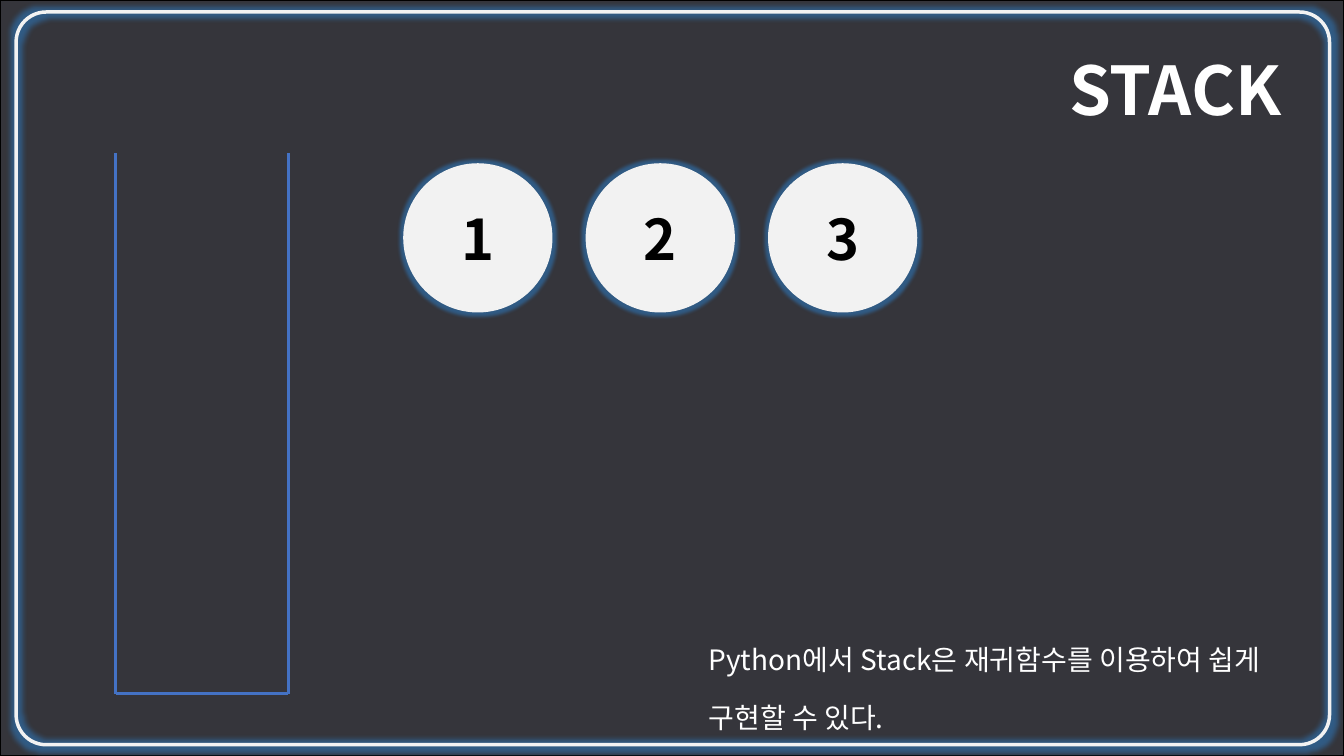
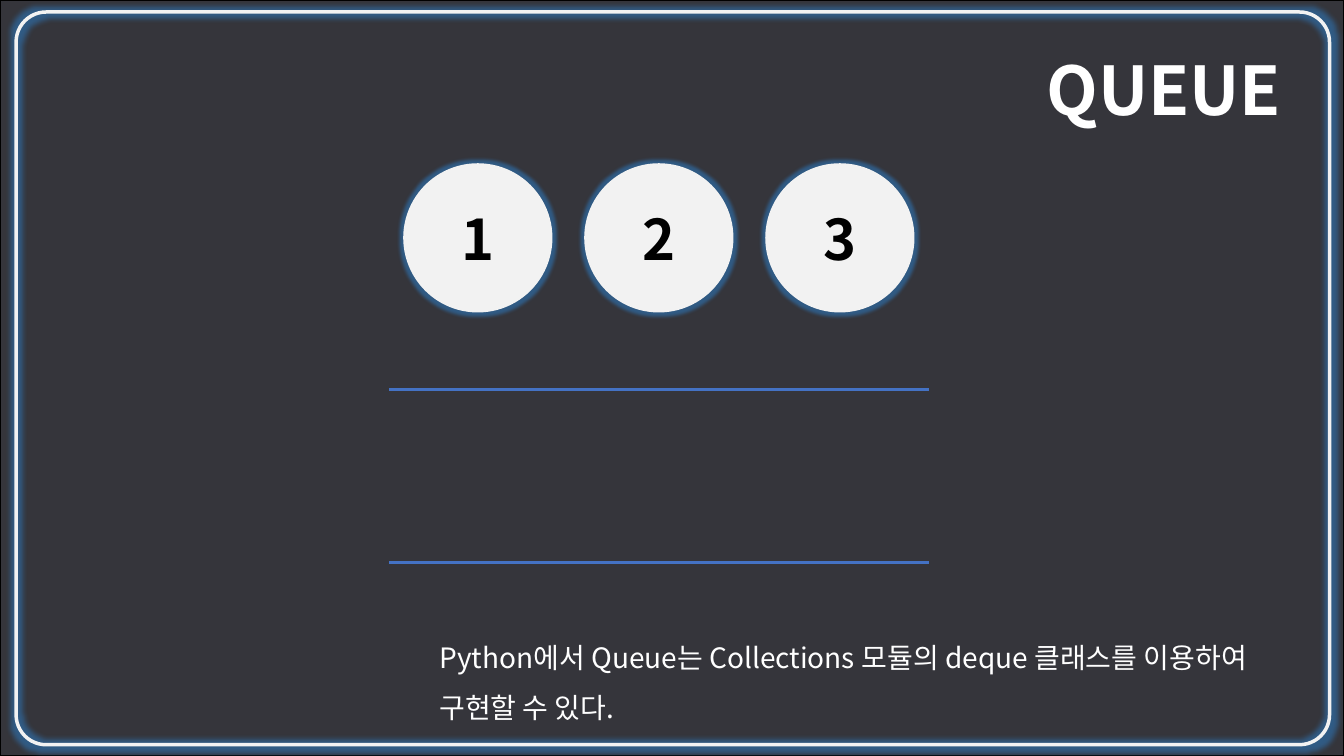
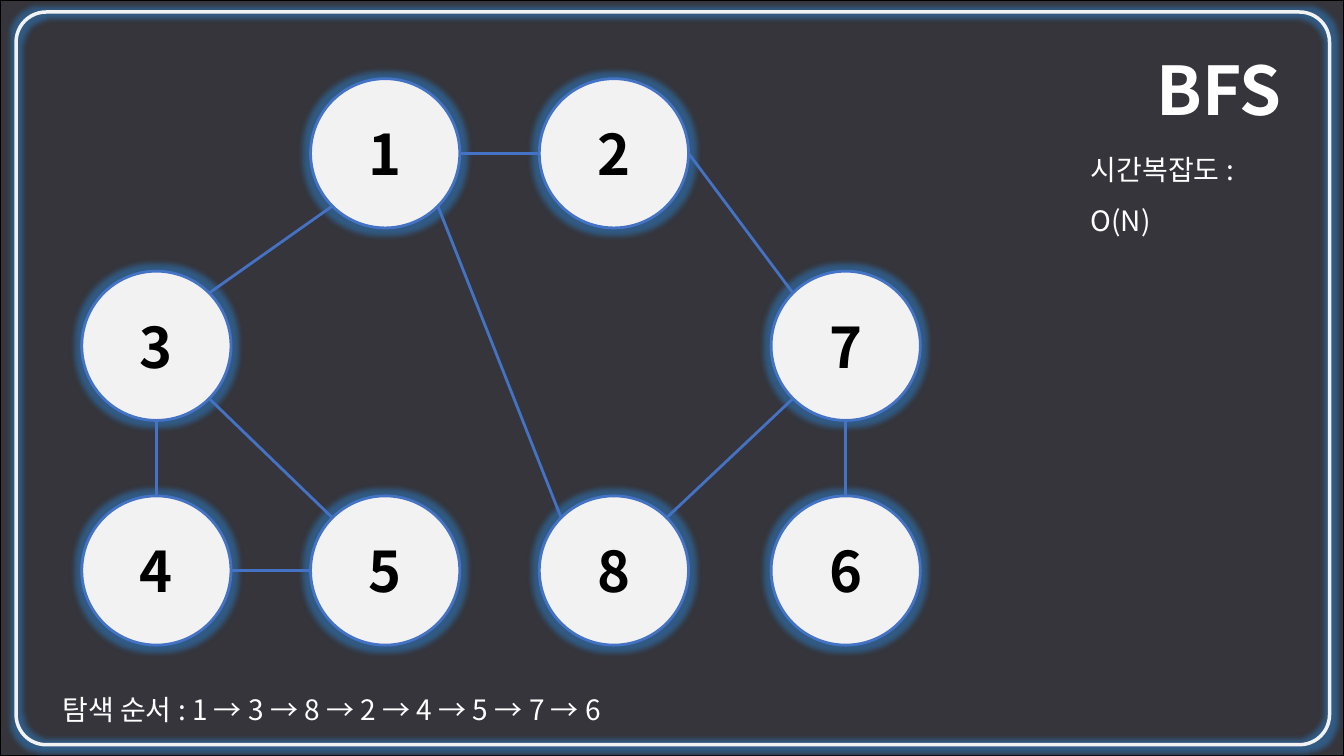
from math import cos, radians, sin

from lxml import etree
from pptx import Presentation
from pptx.dml.color import RGBColor
from pptx.enum import shapes, text
from pptx.oxml import ns
from pptx.util import Pt

FONT = "Noto Sans CJK KR"
WHITE = RGBColor(0xFF, 0xFF, 0xFF)
BLACK = RGBColor(0, 0, 0)
DARK = RGBColor(0x35, 0x35, 0x3B)
PALE = RGBColor(0xF2, 0xF2, 0xF2)
BLUE = RGBColor(0x44, 0x72, 0xC4)
GLOW = RGBColor(0x2E, 0x75, 0xB6)

SLIDE = (960, 540)
FRAME = (11.5, 8.6, 938.2, 523.4)
TITLE = (20.2, 37.4, 902.2, 72)
BALL = 106.6
BALL_LEFT, BALL_TOP = 288, 116.6

# Directions on a circle, in degrees clockwise from the right
RIGHT, LOWER_RIGHT, BOTTOM, LOWER_LEFT = 0, 45, 90, 135
LEFT, UPPER_LEFT, TOP, UPPER_RIGHT = 180, 225, 270, 315

COLUMNS = (58.4, 221.8, 385.2, 550.8)
ROWS = (56.2, 193.7, 354.2)
NODES = {  # label: (column, row)
    "3": (0, 1), "4": (0, 2), "1": (1, 0), "5": (1, 2),
    "2": (2, 0), "8": (2, 2), "7": (3, 1), "6": (3, 2),
}
EDGES = (
    ("3", UPPER_RIGHT, "1", LOWER_LEFT),
    ("4", TOP, "3", BOTTOM),
    ("5", UPPER_LEFT, "3", LOWER_RIGHT),
    ("5", LEFT, "4", RIGHT),
    ("8", UPPER_LEFT, "1", LOWER_RIGHT),
    ("2", LEFT, "1", RIGHT),
    ("7", UPPER_LEFT, "2", RIGHT),
    ("7", LOWER_LEFT, "8", UPPER_RIGHT),
    ("7", BOTTOM, "6", TOP),
)


def points(values):
    """Turn plain numbers into lengths in points."""
    return [Pt(value) for value in values]


def style(para, size, color, bold=False):
    """Format every run of a paragraph."""
    for span in para.runs:
        span.font.size = Pt(size)
        span.font.bold = bold
        span.font.color.rgb = color
        span.font.name = FONT
        east_asian = etree.SubElement(span.font._element, ns.qn("a:ea"))
        east_asian.set("typeface", FONT)


def add_glow(shape, radius):
    """Replace the shape's shadow by a soft blue glow."""
    shape.shadow.inherit = False
    effects = shape.element.spPr.find(ns.qn("a:effectLst"))
    glow = etree.SubElement(effects, ns.qn("a:glow"), rad=str(Pt(radius)))
    color = etree.SubElement(glow, ns.qn("a:srgbClr"), val=str(GLOW))
    etree.SubElement(color, ns.qn("a:alpha"), val="60000")


def add_backdrop(layout, page):
    """Draw the dark ground and glowing frame, and hand them to the layout."""
    ground = page.shapes.add_shape(
        shapes.MSO_SHAPE.RECTANGLE, *points((0, 0, *SLIDE)))
    ground.shadow.inherit = False
    ground.fill.solid()
    ground.fill.fore_color.rgb = DARK
    ground.line.color.rgb = BLACK
    ground.line.width = Pt(1)

    frame = page.shapes.add_shape(
        shapes.MSO_SHAPE.ROUNDED_RECTANGLE, *points(FRAME))
    frame.adjustments[0] = 0.041
    frame.fill.background()
    frame.line.color.rgb = PALE
    frame.line.width = Pt(2.5)
    add_glow(frame, 8)

    for index, shape in enumerate((ground, frame), start=2):
        layout.shapes.element.insert(index, shape.element)


def add_title(page, words):
    """Fill the title placeholder at the top right."""
    title = page.shapes.title
    title.left, title.top, title.width, title.height = points(TITLE)
    frame = title.text_frame
    frame.text = words
    frame.auto_size = text.MSO_AUTO_SIZE.NONE
    frame.vertical_anchor = text.MSO_ANCHOR.TOP
    para = frame.paragraphs[0]
    para.alignment = text.PP_ALIGN.RIGHT
    para.line_spacing = 0.9
    para.space_before = Pt(10)
    style(para, 48, WHITE, bold=True)


def add_caption(page, box, words):
    """Write indented caption paragraphs, one per line of words."""
    frame = page.shapes.add_textbox(*points(box)).text_frame
    frame.word_wrap = True
    frame.text = words
    for para in frame.paragraphs:
        para.line_spacing = 1.5
        para.space_before = Pt(5)
        para._p.get_or_add_pPr().set("marL", str(Pt(72)))
        style(para, 20, WHITE)


def add_ball(page, left, top, label, outlined=False):
    """Draw one numbered circle with its glow."""
    ball = page.shapes.add_shape(
        shapes.MSO_SHAPE.OVAL, *points((left, top, BALL, BALL)))
    ball.fill.solid()
    ball.fill.fore_color.rgb = PALE
    if outlined:
        ball.line.color.rgb = BLUE
        ball.line.width = Pt(2)
    else:
        ball.line.fill.background()
    add_glow(ball, 8 if outlined else 5)
    frame = ball.text_frame
    frame.margin_left = frame.margin_right = 0
    frame.margin_top = frame.margin_bottom = 0
    frame.vertical_anchor = text.MSO_ANCHOR.MIDDLE
    frame.text = label
    para = frame.paragraphs[0]
    para.alignment = text.PP_ALIGN.CENTER
    style(para, 40, BLACK, bold=True)


def add_ball_row(page, pitch):
    """Place the balls 1 to 3 at equal steps."""
    for index in range(3):
        add_ball(page, BALL_LEFT + index * pitch, BALL_TOP, str(index + 1))


def add_line(page, start, end):
    """Draw a straight blue line between two points."""
    line = page.shapes.add_connector(
        shapes.MSO_CONNECTOR.STRAIGHT, *points((*start, *end)))
    line.line.color.rgb = BLUE
    line.line.width = Pt(2)
    etree.SubElement(line.element.spPr, ns.qn("a:effectLst"))


def add_stack_walls(page, box):
    """Draw a container that is open at the top."""
    left, top, width, height = box
    right, bottom = left + width, top + height
    add_line(page, (left, bottom), (left, top))
    add_line(page, (right, bottom), (right, top))
    add_line(page, (left, bottom), (right, bottom))


def add_queue_walls(page, box):
    """Draw a channel that is open at both ends."""
    left, top, width, height = box
    for y in (top, top + height):
        add_line(page, (left, y), (left + width, y))


def rim_point(label, angle):
    """Return the point on a node's rim in the given direction."""
    column, row = NODES[label]
    radius = BALL / 2
    return (COLUMNS[column] + radius * (1 + cos(radians(angle))),
            ROWS[row] + radius * (1 + sin(radians(angle))))


def add_graph(page):
    """Draw the nodes of the graph and the edges between them."""
    for label, (column, row) in NODES.items():
        add_ball(page, COLUMNS[column], ROWS[row], label, outlined=True)
    for start, start_angle, end, end_angle in EDGES:
        add_line(page, rim_point(start, start_angle),
                 rim_point(end, end_angle))


def fill_stack(page):
    """Build the stack slide."""
    add_title(page, "STACK")
    add_stack_walls(page, (82.6, 109.6, 123.4, 385.8))
    add_ball_row(page, 130.3)
    add_caption(page, (427, 443.5, 514, 170),
                "Python에서 Stack은 재귀함수를 이용하여 쉽게 \n구현할 수 있다.")


def fill_queue(page):
    """Build the queue slide."""
    add_title(page, "QUEUE")
    add_queue_walls(page, (277.8, 278.4, 385.8, 123.4))
    add_ball_row(page, 129.3)
    add_caption(page, (234.7, 442, 703.4, 170),
                "Python에서 Queue는 Collections 모듈의 deque 클래스를 "
                "이용하여 구현할 수 있다.")


def fill_search(page):
    """Build the breadth-first search slide."""
    add_title(page, "BFS")
    add_graph(page)
    add_caption(page, (700, 93.6, 221.8, 170), "시간복잡도 : O(N)")
    add_caption(page, (-34.6, 478.8, 956.2, 170),
                "탐색 순서 : " + " → ".join("13824576"))


def main():
    """Build and save the deck."""
    deck = Presentation()
    deck.slide_width, deck.slide_height = points(SLIDE)
    layout = deck.slide_layouts.get_by_name("Title Only")
    pages = [deck.slides.add_slide(layout) for _ in range(3)]
    add_backdrop(layout, pages[0])
    for fill, page in zip((fill_stack, fill_queue, fill_search), pages):
        fill(page)
    deck.save("out.pptx")


main()
